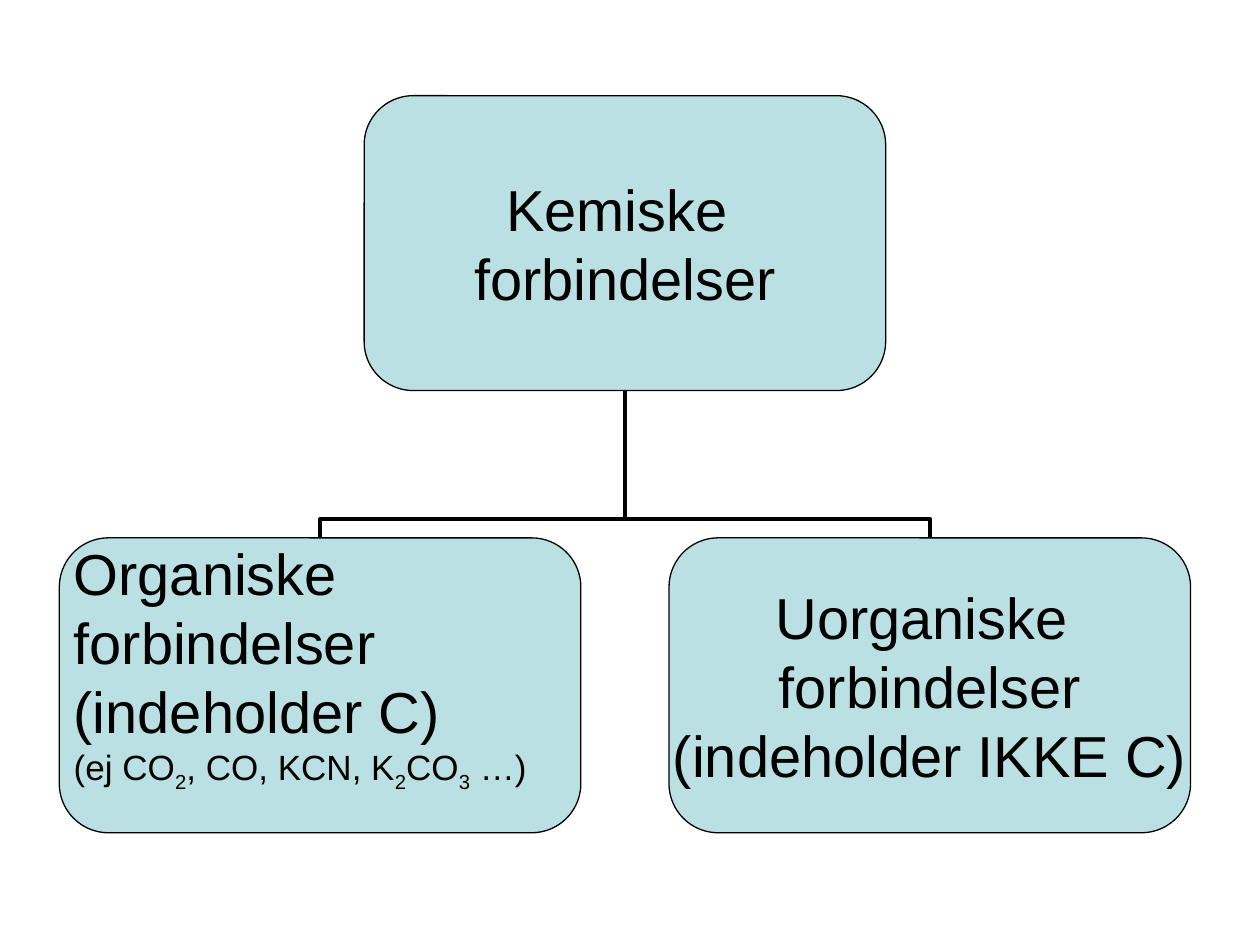
from pptx import Presentation
from pptx.dml.color import RGBColor
from pptx.enum.shapes import MSO_CONNECTOR as Conn, MSO_SHAPE as Shape
from pptx.enum.text import MSO_ANCHOR as Anchor, PP_ALIGN as Align
from pptx.oxml.ns import qn
from pptx.util import Pt
from lxml.etree import SubElement


def color(code):
    return RGBColor.from_string(code)


class Chart:
    """Style and slide of a small tree of boxes."""
    font, ink, fill = "Arial", "000000", "BBE0E3"
    wide, high = 298, 168.5

    def __init__(self, slide):
        self.slide = slide

    def box(self, mid, top, lines, align=Align.CENTER, foot=0):
        """Draw a box around the centre line mid; foot is its bottom inset."""
        box = self.slide.shapes.add_shape(
            Shape.ROUNDED_RECTANGLE, Pt(mid - self.wide / 2), Pt(top),
            Pt(self.wide), Pt(self.high))
        box.shadow.inherit = False
        box.fill.solid()
        box.fill.fore_color.rgb = color(self.fill)
        box.line.color.rgb = color(self.ink)
        box.line.width = Pt(0.75)
        frame = box.text_frame
        frame.word_wrap = False
        frame.vertical_anchor = Anchor.MIDDLE
        frame.margin_left = frame.margin_right = frame.margin_top = 0
        frame.margin_bottom = Pt(foot)
        frame.text = "\n".join(lines)
        for para in frame.paragraphs:
            para.alignment = align
            self.style(para.font, 33)
        return frame

    def style(self, font, size):
        font.name = self.font
        font.size = Pt(size)
        font.color.rgb = color(self.ink)

    def formula(self, frame, parts):
        """Add a small line in which every second part is a subscript."""
        para = frame.add_paragraph()
        para.alignment = Align.LEFT
        self.style(para.font, 20)
        for i, part in enumerate(parts):
            run = para.add_run()
            run.text = part
            self.style(run.font, 20)
            if i % 2:
                run.font._element.set("baseline", "-25000")

    def link(self, start, end, bend):
        """Draw an elbow that leaves start upwards and turns at share bend."""
        (x1, y1), (x2, y2) = start, end
        # The frame is laid out unturned, then turned a quarter about its centre.
        mx, my = (x1 + x2) / 2, (y1 + y2) / 2
        dx, dy = (y1 - y2) / 2, abs(x1 - x2) / 2
        side = 1 if x1 < x2 else -1
        line = self.slide.shapes.add_connector(
            Conn.ELBOW, Pt(mx + side * dx), Pt(my + dy),
            Pt(mx - side * dx), Pt(my - dy))
        line.line.color.rgb = color(self.ink)
        line.line.width = Pt(2.25)
        props = line._element.spPr
        turn = 90 if side > 0 else 270
        props.find(qn("a:xfrm")).set("rot", str(turn * 60000))
        geom = props.find(qn("a:prstGeom"))
        guides = geom.find(qn("a:avLst"))
        if guides is None:
            guides = SubElement(geom, qn("a:avLst"))
        SubElement(guides, qn("a:gd"), name="adj1",
                   fmla=f"val {round(bend * 100000)}")
        SubElement(props, qn("a:effectLst"))


def main():
    deck = Presentation()
    deck.slide_width, deck.slide_height = Pt(720), Pt(540)
    chart = Chart(deck.slides.add_slide(deck.slide_layouts[6]))

    mid, step = 357.1, 174.2
    top, low = 54.7, 307.4
    left, right = mid - step, mid + step

    for x in (right, left):
        chart.link((x, low), (mid, top + chart.high), 0.13)

    chart.box(mid, top, ["Kemiske ", "forbindelser"])
    organic = chart.box(
        left, low, ["Organiske", "forbindelser", "(indeholder C)"],
        Align.LEFT, foot=23)
    chart.formula(organic, ["(ej CO", "2", ", CO, KCN, K", "2", "CO", "3", " …)"])
    chart.box(right, low, ["Uorganiske ", "forbindelser", "(indeholder IKKE C)"])

    deck.save("out.pptx")


if __name__ == "__main__":
    main()
